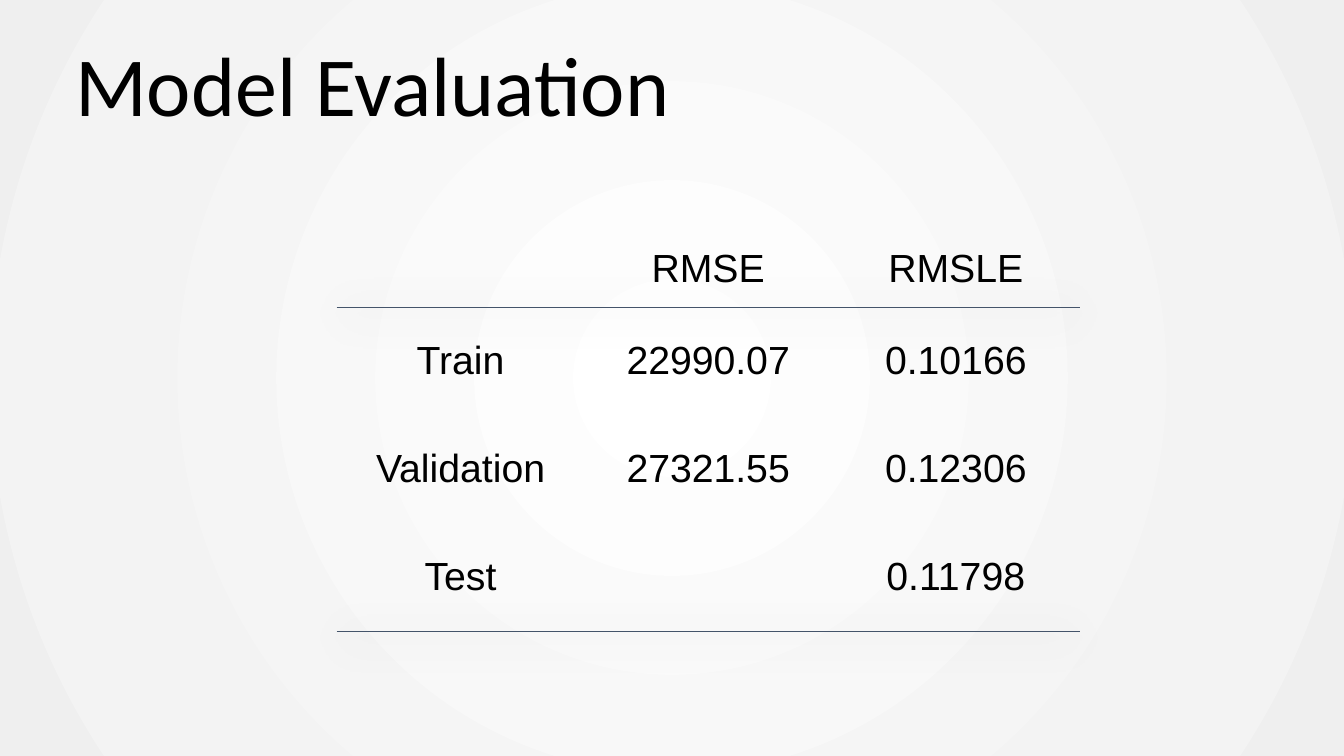
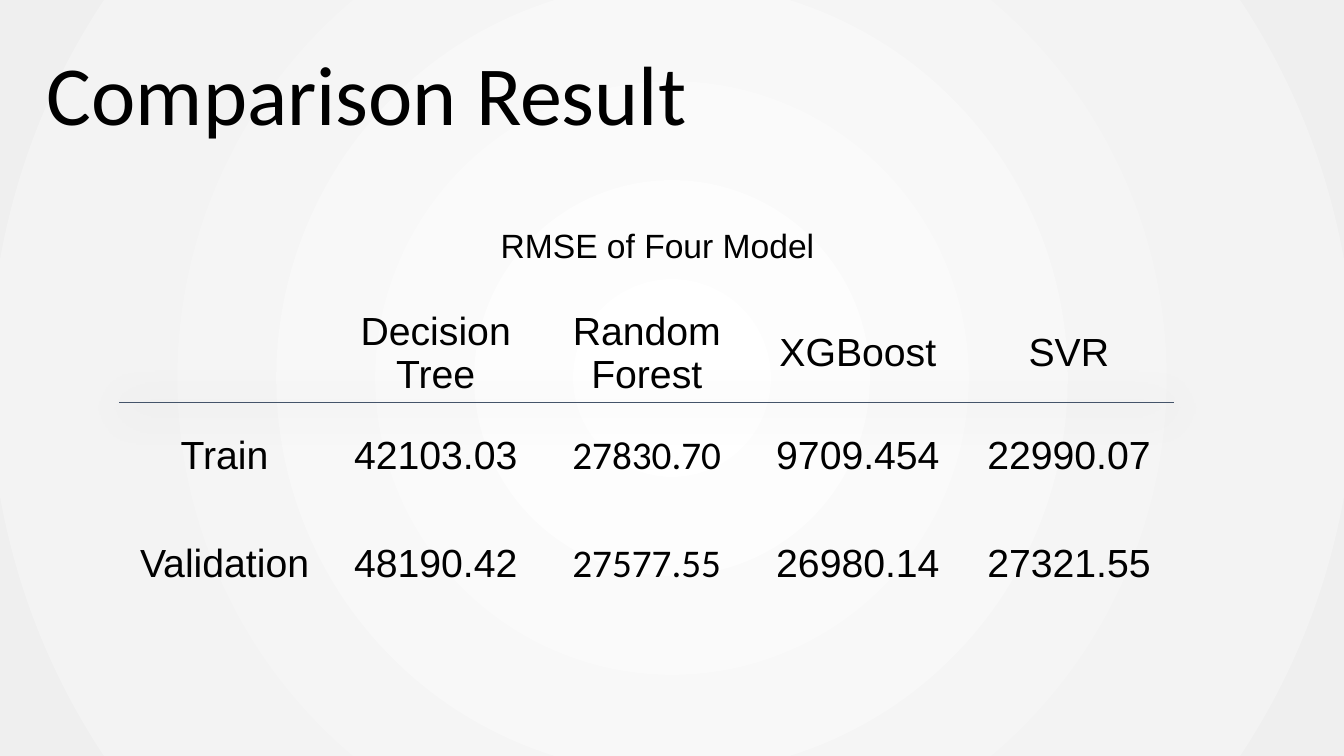
from lxml import etree
from pptx import Presentation
from pptx.dml.color import RGBColor
from pptx.enum.text import MSO_ANCHOR as Anchor, PP_ALIGN as Align
from pptx.oxml import parse_xml
from pptx.oxml.ns import qn
from pptx.util import Pt

# Content: tables give column heads first, then the rows
SLIDES = [
    {
        "title": "Model Evaluation",
        "title_at": (16, 11.5),
        "table_at": (240.5, 164.2),
        "column_width": 176.9,
        "header_height": 55.4,
        "rows": [
            ("", "RMSE", "RMSLE"),
            ("Train", "22990.07", "0.10166"),
            ("Validation", "27321.55", "0.12306"),
            ("Test", "", "0.11798"),
        ],
        "ruled_rows": (0, 3),
        "calibri_cells": (),
    },
    {
        "title": "Comparison Result",
        "title_at": (12, 18),
        "caption": "RMSE of Four Model",
        "caption_box": (350.5, 157, 278, 36),
        "table_at": (85, 217.4),
        "column_width": 150.8,
        "header_height": 70,
        "rows": [
            ("", "Decision Tree", "Random Forest", "XGBoost", "SVR"),
            ("Train", "42103.03", "27830.70", "9709.454", "22990.07"),
            ("Validation", "48190.42", "27577.55", "26980.14", "27321.55"),
        ],
        "ruled_rows": (0,),
        "calibri_cells": ((1, 2), (2, 2)),
    },
]

# Shared style
BLACK, RULE = "000000", "44546A"
BACKGROUND_STOPS = [(0, "FFFFFF"), (77, "F3F3F3"), (100, "EFEFEF")]
TITLE_WIDTH, TITLE_HEIGHT = 500, 88
BODY_ROW_HEIGHT = 77.1
PLAIN_TABLE_STYLE = "{2D5ABB26-0587-4C30-8999-92F81FD0307C}"
NAMESPACES = ('xmlns:a="http://schemas.openxmlformats.org/drawingml/2006/main" '
              'xmlns:p="http://schemas.openxmlformats.org/presentationml/2006/main"')


def color(value):
    return RGBColor.from_string(value)


def set_font(paragraph, name, size):
    paragraph.font.name = name
    paragraph.font.size = Pt(size)
    paragraph.font.color.rgb = color(BLACK)


def set_background(master):
    stops = "".join(f'<a:gs pos="{position * 1000}"><a:srgbClr val="{value}"/></a:gs>'
                    for position, value in BACKGROUND_STOPS)
    common = master.element.find(qn("p:cSld"))
    old = common.find(qn("p:bg"))
    if old is not None:
        common.remove(old)
    common.insert(0, parse_xml(
        f'<p:bg {NAMESPACES}><p:bgPr><a:gradFill rotWithShape="1"><a:gsLst>{stops}</a:gsLst>'
        '<a:path path="circle"><a:fillToRect l="50000" t="50000" r="50000" b="50000"/></a:path>'
        '</a:gradFill><a:effectLst/></p:bgPr></p:bg>'))


def add_title(slide, text, left, top):
    title = slide.shapes.title
    title.left, title.top = Pt(left), Pt(top)
    title.width, title.height = Pt(TITLE_WIDTH), Pt(TITLE_HEIGHT)
    title.text_frame.text = text
    title.text_frame.vertical_anchor = Anchor.BOTTOM
    paragraph = title.text_frame.paragraphs[0]
    paragraph.alignment = Align.CENTER
    paragraph.line_spacing = 0.9
    set_font(paragraph, "Calibri", 60)


def add_caption(slide, text, box):
    frame = slide.shapes.add_textbox(*map(Pt, box)).text_frame
    frame.word_wrap = True
    frame.text = text
    set_font(frame.paragraphs[0], "Arial", 24)


def rule_below(cell):
    # Borders come before the fill in the cell properties
    cell._tc.get_or_add_tcPr().insert(0, parse_xml(
        f'<a:lnB {NAMESPACES} w="12700"><a:solidFill><a:srgbClr val="{RULE}"/>'
        '</a:solidFill></a:lnB>'))


def style_table(table):
    table.first_row = table.horz_banding = False
    properties = table._tbl.tblPr
    style = properties.find(qn("a:tableStyleId"))
    style.text = PLAIN_TABLE_STYLE
    # Soft shadow under the rules
    effects = etree.Element(qn("a:effectLst"))
    shadow = etree.SubElement(effects, qn("a:outerShdw"), blurRad=str(Pt(30)),
                              dist=str(Pt(4)), dir="5400000", algn="t", rotWithShape="0")
    black = etree.SubElement(shadow, qn("a:srgbClr"), val=BLACK)
    etree.SubElement(black, qn("a:alpha"), val="40000")
    style.addprevious(effects)


def add_table(slide, content):
    rows = content["rows"]
    heights = [content["header_height"]] + [BODY_ROW_HEIGHT] * (len(rows) - 1)
    left, top = content["table_at"]
    width = content["column_width"] * len(rows[0])
    table = slide.shapes.add_table(len(rows), len(rows[0]), Pt(left), Pt(top),
                                   Pt(width), Pt(sum(heights))).table
    style_table(table)
    for column in table.columns:
        column.width = Pt(content["column_width"])
    for row_index, values in enumerate(rows):
        table.rows[row_index].height = Pt(heights[row_index])
        for column_index, value in enumerate(values):
            cell = table.cell(row_index, column_index)
            cell.text = value
            cell.vertical_anchor = Anchor.MIDDLE
            cell.fill.background()
            paragraph = cell.text_frame.paragraphs[0]
            paragraph.alignment = Align.CENTER
            is_calibri = (row_index, column_index) in content["calibri_cells"]
            set_font(paragraph, "Calibri" if is_calibri else "Arial", 28)
            if row_index in content["ruled_rows"]:
                rule_below(cell)


def main():
    presentation = Presentation()
    presentation.slide_width, presentation.slide_height = Pt(960), Pt(540)
    set_background(presentation.slide_master)
    for content in SLIDES:
        slide = presentation.slides.add_slide(presentation.slide_layouts[5])
        add_title(slide, content["title"], *content["title_at"])
        add_table(slide, content)
        if "caption" in content:
            add_caption(slide, content["caption"], content["caption_box"])
    presentation.save("out.pptx")


if __name__ == "__main__":
    main()
